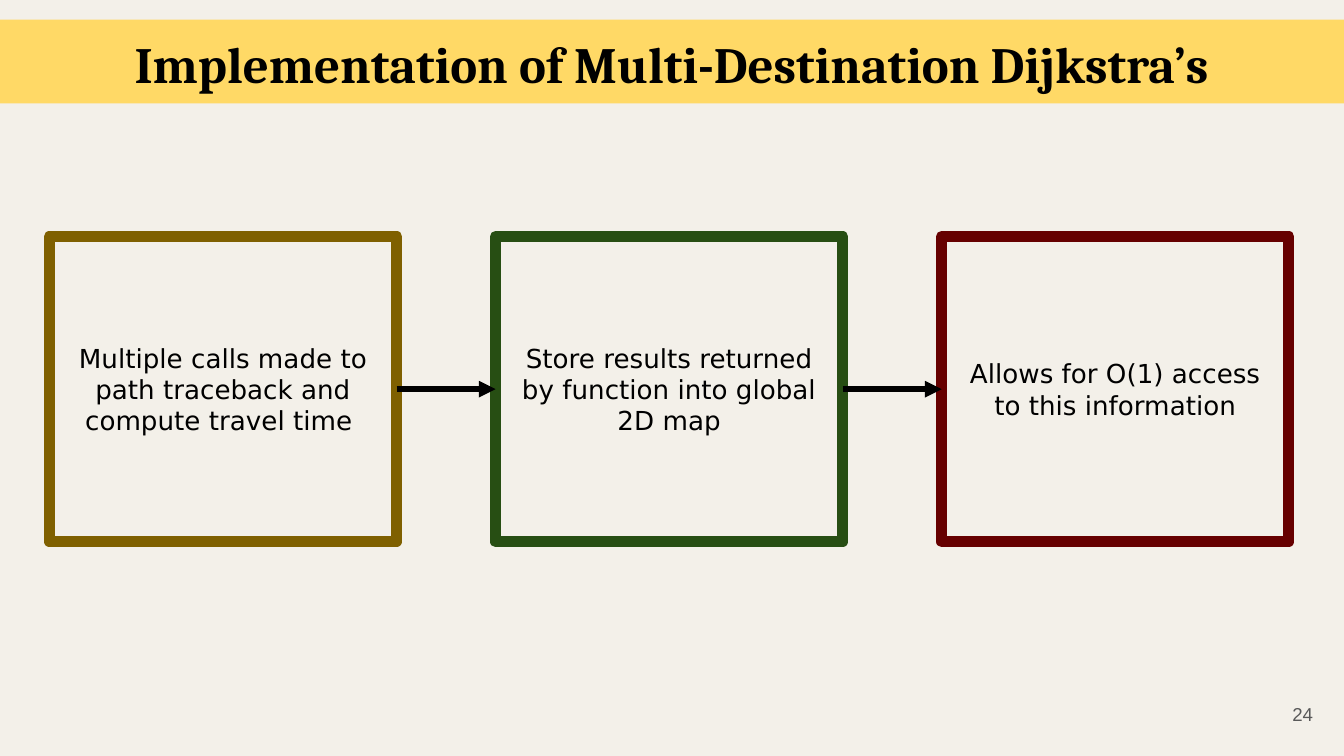
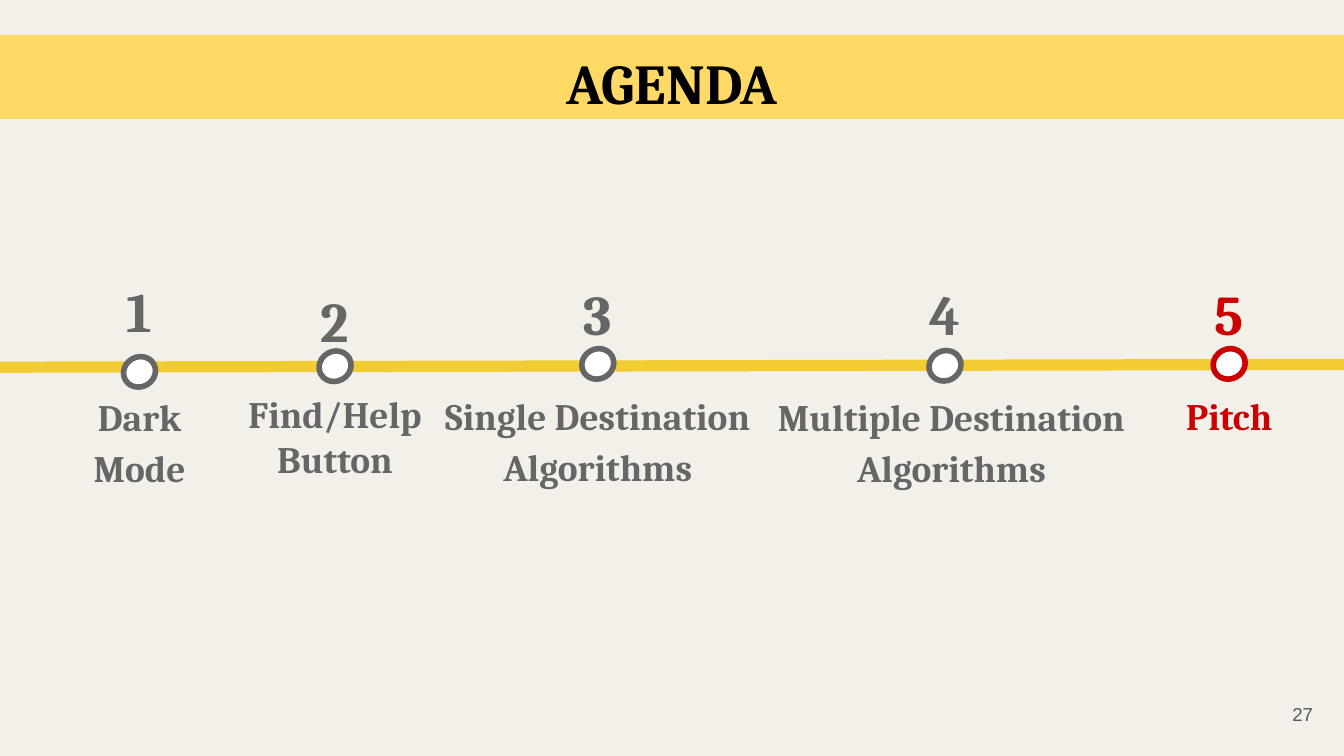
from dataclasses import dataclass
from itertools import pairwise

from lxml.etree import SubElement
from pptx import Presentation
from pptx.dml.color import RGBColor
from pptx.enum.shapes import MSO_CONNECTOR as Connector, MSO_SHAPE as Preset
from pptx.enum.text import MSO_ANCHOR as Anchor, PP_ALIGN as Align
from pptx.oxml.ns import qn
from pptx.util import Pt

COLORS = {
    "background": "F3F0E9",
    "band": "FFD966",
    "timeline": "F1CC32",
    "black": "000000",
    "white": "FFFFFF",
    "gray": "666666",
    "page": "595959",
    "current": "CC0000",
    "calls": "7F6000",
    "store": "274E13",
    "access": "660000",
}
SERIF, SANS, PAGE_FONT = "Cambria", "DejaVu Sans", "Arial"
WIDTH, HEIGHT = 720, 405


@dataclass
class Milestone:
    number: str
    lines: tuple
    center: float
    label_width: float
    dot_center: float = 61
    number_top: float = 3
    label_top: float = 65.75
    label_shift: float = 0
    number_spacing: float = 1.15
    label_spacing: float = 1.15
    color: str = "gray"


STEPS = [
    ("Multiple calls made to path traceback and compute travel time ", "calls"),
    ("Store results returned by function into global 2D map", "store"),
    ("Allows for O(1) access to this information", "access"),
]
MILESTONES = [
    Milestone("1", ("Dark", "Mode"), 74.75, 212, dot_center=65.25,
              number_top=7, label_top=66.25, number_spacing=1),
    Milestone("2", ("Find/Help", "Button"), 179.5, 179, dot_center=62.25,
              number_top=7, label_top=68.25, label_spacing=1),
    Milestone("3", ("Single Destination Algorithms",), 320.25, 181),
    Milestone("4", ("Multiple Destination Algorithms",), 506.25, 206,
              dot_center=62, label_top=66.25, label_shift=3.5),
    Milestone("5", ("Pitch",), 658.5, 169, color="current"),
]


def rgb(name):
    return RGBColor.from_string(COLORS[name])


def write(shape, lines, size, font, color, bold=False, align=Align.CENTER,
          anchor=Anchor.TOP, spacing=1):
    frame = shape.text_frame
    frame.word_wrap = True
    frame.vertical_anchor = anchor
    frame.margin_left = frame.margin_right = Pt(7.2)
    frame.margin_top = frame.margin_bottom = Pt(7.2)
    for index, line in enumerate(lines):
        paragraph = frame.add_paragraph() if index else frame.paragraphs[0]
        paragraph.alignment = align
        paragraph.line_spacing = spacing
        run = paragraph.add_run()
        run.text = line
        run.font.size = Pt(size)
        run.font.name = font
        run.font.bold = bold
        run.font.color.rgb = rgb(color)


def add_text(slide, box, lines, *style, **options):
    textbox = slide.shapes.add_textbox(*map(Pt, box))
    write(textbox, lines, *style, **options)


def add_preset(slide, preset, box, fill=None, line=None, weight=0):
    shape = slide.shapes.add_shape(preset, *map(Pt, box))
    shape.shadow.inherit = False
    if fill:
        shape.fill.solid()
        shape.fill.fore_color.rgb = rgb(fill)
    else:
        shape.fill.background()
    if line:
        shape.line.color.rgb = rgb(line)
        shape.line.width = Pt(weight)
    else:
        shape.line.fill.background()
    return shape


def add_line(slide, start, end, color, weight, arrow=False):
    connector = slide.shapes.add_connector(
        Connector.STRAIGHT, *map(Pt, (*start, *end)))
    connector.line.color.rgb = rgb(color)
    connector.line.width = Pt(weight)
    if arrow:
        SubElement(connector.line._get_or_add_ln(), qn("a:tailEnd"), type="triangle")
    SubElement(connector._element.spPr, qn("a:effectLst"))
    return connector


def add_slide(presentation, page):
    slide = presentation.slides.add_slide(presentation.slide_layouts[6])
    slide.background.fill.solid()
    slide.background.fill.fore_color.rgb = rgb("background")
    add_text(slide, (667.25, 367, 43.25, 31), [page], 10, PAGE_FONT, "page",
             align=Align.RIGHT, anchor=Anchor.MIDDLE)
    return slide


def add_title_band(slide, title, top, size):
    band = add_preset(slide, Preset.RECTANGLE, (0, top, WIDTH, 45), "band")
    write(band, [title], size, SERIF, "black", bold=True)


def add_step_flow(slide, box, steps, gap):
    left, top, width, height = box
    step_width = (width - gap * (len(steps) - 1)) / len(steps)
    rectangles = []
    for index, (text, color) in enumerate(steps):
        step_left = left + index * (step_width + gap)
        rectangle = add_preset(slide, Preset.RECTANGLE,
                               (step_left, top, step_width, height),
                               line=color, weight=6)
        write(rectangle, [text], 14, SANS, "black", anchor=Anchor.MIDDLE)
        rectangles.append(rectangle)
    for source, target in pairwise(rectangles):
        arrow = add_line(slide, (0, 0), (0, 0), "black", 3, arrow=True)
        arrow.begin_connect(source, 3)
        arrow.end_connect(target, 1)


def add_milestone(slide, left, top, milestone):
    center = left + milestone.center
    color = milestone.color
    add_text(slide, (center - 39, top + milestone.number_top, 78, 46),
             [milestone.number], 30, SERIF, color, bold=True,
             spacing=milestone.number_spacing)
    dot = add_preset(slide, Preset.OVAL,
                     (center - 8.75, top + milestone.dot_center - 8, 17.5, 16),
                     "white", color, 3)
    dot.rotation = 331
    label_left = center + milestone.label_shift - milestone.label_width / 2
    add_text(slide, (label_left, top + milestone.label_top, milestone.label_width, 80),
             milestone.lines, 20, SERIF, color, bold=True,
             spacing=milestone.label_spacing)


def add_timeline(slide, box, milestones):
    left, top, width, _ = box
    add_line(slide, (left, top + 62.75), (left + width, top + 61.25), "timeline", 6)
    for milestone in milestones:
        add_milestone(slide, left, top, milestone)


def main():
    presentation = Presentation()
    presentation.slide_width = Pt(WIDTH)
    presentation.slide_height = Pt(HEIGHT)

    implementation = add_slide(presentation, "24")
    add_title_band(implementation, "Implementation of Multi-Destination Dijkstra’s",
                   10.5, 27.2)
    add_step_flow(implementation, (26.5, 126.75, 664, 163.5), STEPS, 53)

    agenda = add_slide(presentation, "27")
    add_title_band(agenda, "AGENDA", 18.75, 30.2)
    add_timeline(agenda, (0, 134, WIDTH, 146), MILESTONES)

    presentation.save("out.pptx")


if __name__ == "__main__":
    main()
